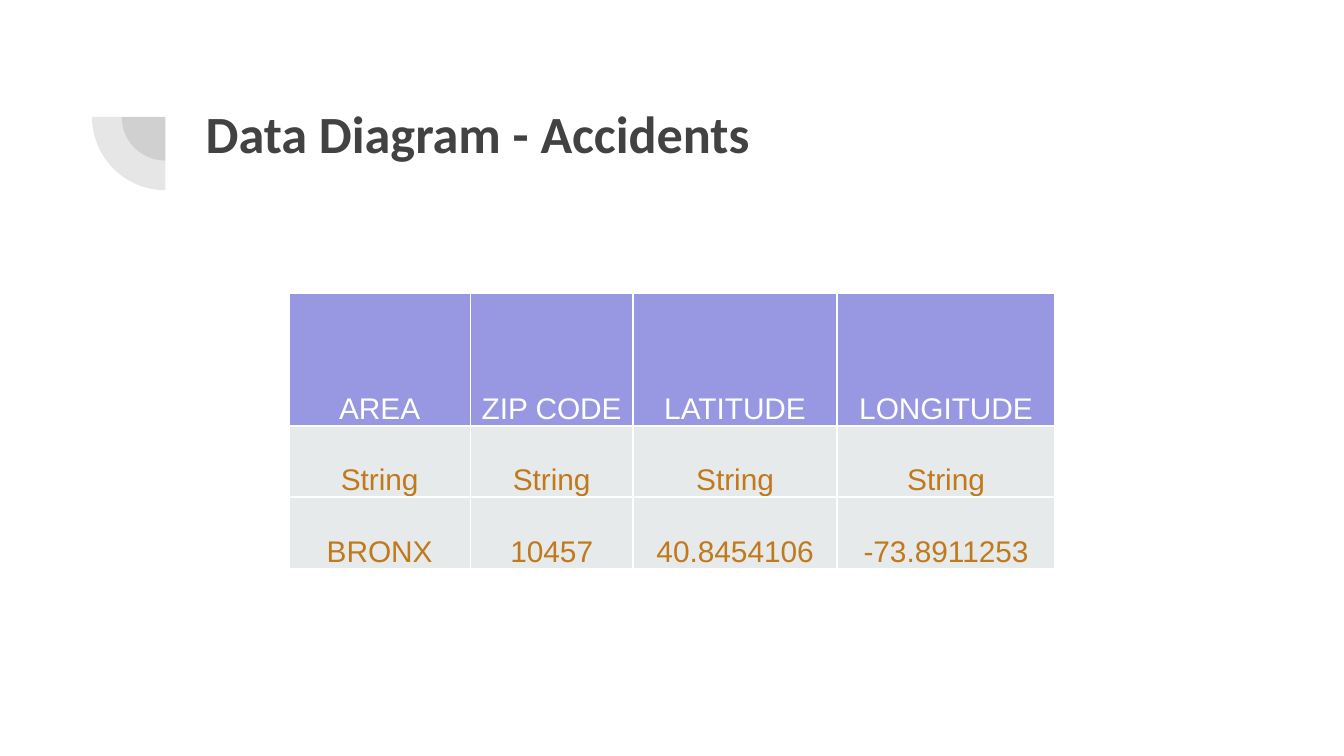
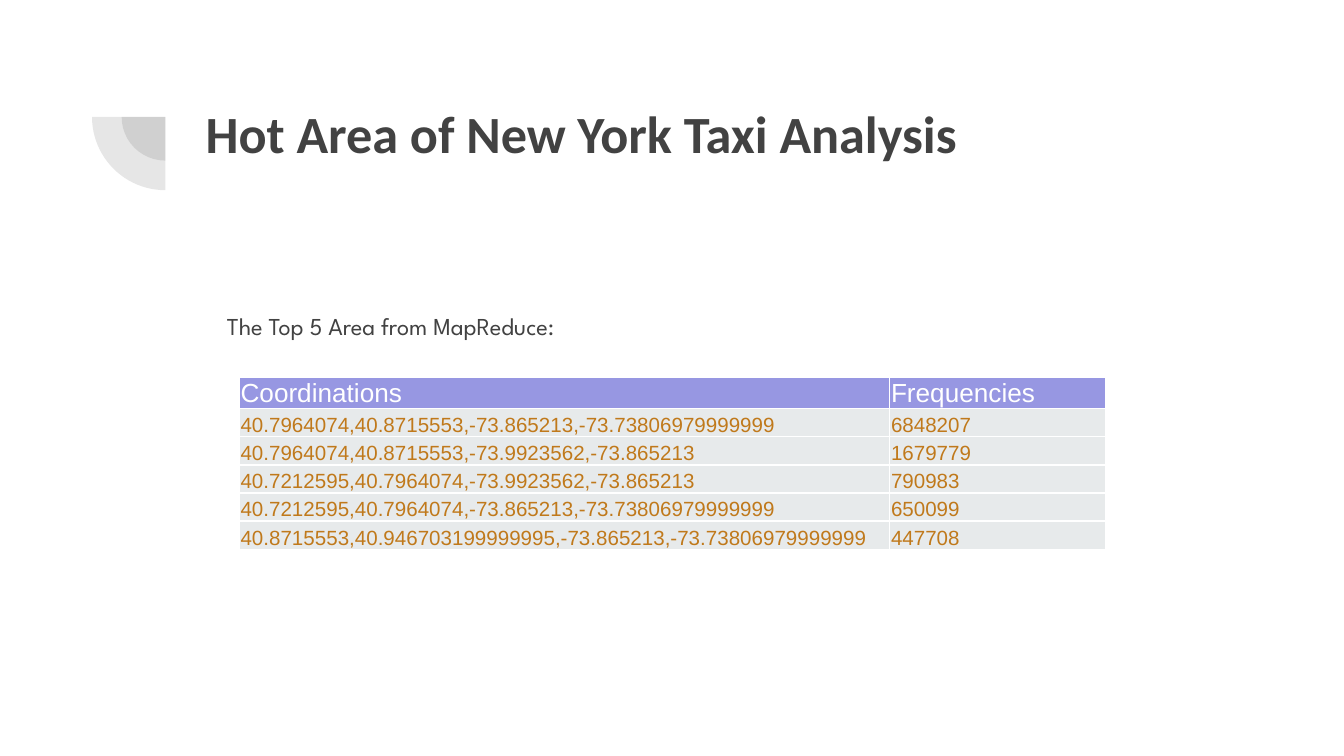
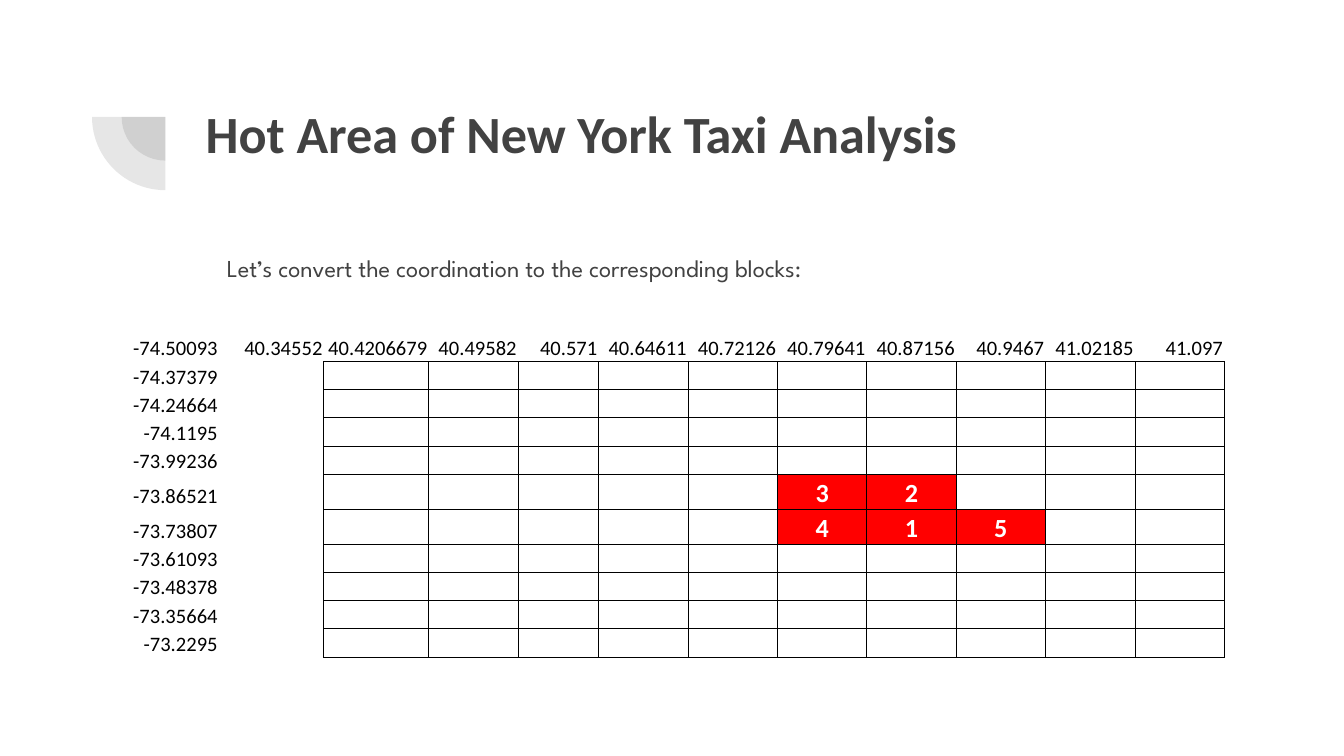
"""Build three slides on accident data and busy taxi areas in New York."""
from lxml import etree
from pptx import Presentation
from pptx.dml.color import RGBColor
from pptx.enum.shapes import MSO_SHAPE
from pptx.enum.text import MSO_ANCHOR, MSO_AUTO_SIZE, PP_ALIGN
from pptx.oxml.ns import qn
from pptx.util import Inches, Pt

PIE = MSO_SHAPE.PIE
LEFT, CENTER, RIGHT = PP_ALIGN.LEFT, PP_ALIGN.CENTER, PP_ALIGN.RIGHT
TOP, BOTTOM = MSO_ANCHOR.TOP, MSO_ANCHOR.BOTTOM
NO_AUTOFIT = MSO_AUTO_SIZE.NONE
TITLE_ONLY = 5

SLIDE_WIDTH = Inches(10)
SLIDE_HEIGHT = SLIDE_WIDTH * 9 // 16

DARK = RGBColor(0x42, 0x42, 0x42)
WHITE = RGBColor(0xFF, 0xFF, 0xFF)
BLACK = RGBColor(0, 0, 0)
LILAC = RGBColor(0x97, 0x97, 0xE2)
PALE = RGBColor(0xE7, 0xEA, 0xEB)
OCHRE = RGBColor(0xC0, 0x79, 0x1B)
RED = RGBColor(0xFF, 0, 0)

TITLE_FONT = "Calibri"
BODY_FONT = "League Spartan"
TABLE_FONT = "Arial"
TEXT_LEFT, TEXT_WIDTH = 1.43, 7.69
PIE_OPACITY = 13

HOT_AREA_TITLE = "Hot Area of New York Taxi Analysis"
ACCIDENTS = [
    ["AREA", "ZIP CODE", "LATITUDE", "LONGITUDE"],
    ["String"] * 4,
    ["BRONX", "10457", "40.8454106", "-73.8911253"],
]
TOP_AREAS = [
    ["Coordinations", "Frequencies"],
    ["40.7964074,40.8715553,-73.865213,-73.73806979999999", "6848207"],
    ["40.7964074,40.8715553,-73.9923562,-73.865213", "1679779"],
    ["40.7212595,40.7964074,-73.9923562,-73.865213", "790983"],
    ["40.7212595,40.7964074,-73.865213,-73.73806979999999", "650099"],
    ["40.8715553,40.946703199999995,-73.865213,-73.73806979999999", "447708"],
]
LATITUDES = ["40.34552", "40.4206679", "40.49582", "40.571", "40.64611", "40.72126",
             "40.79641", "40.87156", "40.9467", "41.02185", "41.097"]
LONGITUDES = ["-74.50093", "-74.37379", "-74.24664", "-74.1195", "-73.99236", "-73.86521",
              "-73.73807", "-73.61093", "-73.48378", "-73.35664", "-73.2295"]
HOT_BLOCKS = {(5, 7): "3", (5, 8): "2", (6, 7): "4", (6, 8): "1", (6, 9): "5"}


def write_text(frame, text, *, size, font, color, bold=False, align=LEFT, spacing=None, indent=0):
    """Write one formatted paragraph into a text frame."""
    paragraph = frame.paragraphs[0]
    paragraph.alignment = align
    if spacing:
        paragraph.line_spacing = spacing
    if indent:
        properties = paragraph._p.get_or_add_pPr()
        properties.set("marL", str(Inches(indent)))
        properties.set("indent", "0")
    if not text:
        end = etree.SubElement(paragraph._p, qn("a:endParaRPr"))
        end.set("sz", str(size * 100))
        return
    run = paragraph.add_run()
    run.text = text
    run.font.size = Pt(size)
    run.font.name = font
    run.font.bold = bold
    run.font.color.rgb = color


def prepare_frame(frame):
    """Give a text frame the shared margins, wrapping and anchor."""
    frame.word_wrap = True
    frame.auto_size = NO_AUTOFIT
    frame.vertical_anchor = TOP
    frame.margin_left = frame.margin_right = Inches(0.1)
    frame.margin_top = frame.margin_bottom = Inches(0.1)


def add_pie_ornament(slide):
    """Add the two translucent quarter circles beside the title."""
    group = slide.shapes.add_group_shape()
    center_x, center_y = 1.23, 0.87
    for diameter in (0.65, 1.09):
        shape = group.shapes.add_shape(
            PIE, Inches(center_x - diameter / 2), Inches(center_y - diameter / 2),
            Inches(diameter), Inches(diameter))
        shape.adjustments[0], shape.adjustments[1] = 108, 162
        shape.rotation = 270
        shape.shadow.inherit = False
        shape.line.fill.background()
        shape.fill.solid()
        shape.fill.fore_color.rgb = DARK
        color = shape._element.spPr.find(qn("a:solidFill"))[0]
        etree.SubElement(color, qn("a:alpha")).set("val", str(PIE_OPACITY * 1000))


def add_titled_slide(presentation, text):
    """Add a slide with the ornament and a formatted title."""
    slide = presentation.slides.add_slide(presentation.slide_layouts[TITLE_ONLY])
    add_pie_ornament(slide)
    title = slide.shapes.title
    title.left, title.top = Inches(TEXT_LEFT), Inches(0.65)
    title.width, title.height = Inches(TEXT_WIDTH), Inches(1.09)
    prepare_frame(title.text_frame)
    write_text(title.text_frame, text, size=28, font=TITLE_FONT, color=DARK, bold=True)
    return slide


def add_body(slide, text, top, height):
    """Add the introductory sentence above a table."""
    box = slide.shapes.add_textbox(
        Inches(TEXT_LEFT), Inches(top), Inches(TEXT_WIDTH), Inches(height))
    prepare_frame(box.text_frame)
    write_text(box.text_frame, text, size=13, font=BODY_FONT, color=DARK,
               spacing=1.15, indent=0.16)


def add_table(slide, left, top, widths, heights):
    """Add an unbanded table with the given column widths and row heights."""
    table = slide.shapes.add_table(
        len(heights), len(widths), Inches(left), Inches(top),
        Inches(sum(widths)), Inches(sum(heights))).table
    table.first_row = table.horz_banding = False
    for column, width in zip(table.columns, widths):
        column.width = Inches(width)
    for row, height in zip(table.rows, heights):
        row.height = Inches(height)
    return table


def set_borders(cell, sides, color, width):
    """Draw the named sides of a cell and clear the others."""
    properties = cell._tc.get_or_add_tcPr()
    for side in "LRTB":
        line = etree.SubElement(properties, qn(f"a:ln{side}"))
        if side in sides:
            line.set("w", str(Pt(width)))
            fill = etree.SubElement(line, qn("a:solidFill"))
            etree.SubElement(fill, qn("a:srgbClr")).set("val", str(color))
        else:
            etree.SubElement(line, qn("a:noFill"))


def fill_cell(cell, text, *, fill=None, sides="LRTB", border=WHITE, border_width=1, **text_format):
    """Set the borders, fill, margins and text of a cell."""
    set_borders(cell, sides, border, border_width)
    if fill is None:
        cell.fill.background()
    else:
        cell.fill.solid()
        cell.fill.fore_color.rgb = fill
    cell.vertical_anchor = BOTTOM
    cell.margin_left = cell.margin_right = cell.margin_top = Inches(0.01)
    cell.margin_bottom = 0
    write_text(cell.text_frame, text, **text_format)


def fill_data_table(table, rows, header_size, body_size, align):
    """Fill a table that has a lilac header and pale data rows."""
    for row_index, row in enumerate(rows):
        header = row_index == 0
        for column_index, text in enumerate(row):
            fill_cell(table.cell(row_index, column_index), text,
                      fill=LILAC if header else PALE, color=WHITE if header else OCHRE,
                      size=header_size if header else body_size, font=TABLE_FONT, align=align)


def block_sides(row, column):
    """Return the sides to draw for a cell of the block map."""
    if row and column > 1:
        return "LRTB"
    if row:
        return "R" if column == 1 else ""
    return "B" if column > 1 else ""


def fill_block_map(table):
    """Fill the coordinate map and mark its ranked hot blocks."""
    labels = {(0, column): text for column, text in enumerate(LATITUDES, 1)}
    labels.update({(row, 0): text for row, text in enumerate(LONGITUDES)})
    for row in range(len(LONGITUDES)):
        for column in range(len(LATITUDES) + 1):
            place = row, column
            hot = place in HOT_BLOCKS
            fill_cell(table.cell(row, column), HOT_BLOCKS.get(place, labels.get(place, "")),
                      fill=RED if hot else None, sides=block_sides(row, column),
                      border=BLACK, border_width=0.5, font=TITLE_FONT, bold=hot,
                      size=14 if hot else 11, color=WHITE if hot else BLACK,
                      align=CENTER if hot else RIGHT)


def main():
    """Build and save the presentation."""
    presentation = Presentation()
    presentation.slide_width, presentation.slide_height = SLIDE_WIDTH, SLIDE_HEIGHT

    slide = add_titled_slide(presentation, "Data Diagram - Accidents")
    table = add_table(slide, 2.15, 2.18, [1.35, 1.21, 1.52, 1.62], [0.99, 0.53, 0.53])
    fill_data_table(table, ACCIDENTS, 16, 16, CENTER)

    slide = add_titled_slide(presentation, HOT_AREA_TITLE)
    add_body(slide, "The Top 5 Area from MapReduce:", 2.18, 2.78)
    table = add_table(slide, 1.78, 2.81, [4.84, 1.61], [0.21] * len(TOP_AREAS))
    fill_data_table(table, TOP_AREAS, 14, 11, LEFT)

    slide = add_titled_slide(presentation, HOT_AREA_TITLE)
    add_body(slide, "Let’s convert the coordination to the corresponding blocks:", 1.75, 0.43)
    regular_width = (8.22 - 0.74 - 2 * 0.78 - 0.6) / 8
    widths = [0.74, 0.78, 0.78, regular_width, 0.6] + [regular_width] * 7
    hot_rows = {row for row, column in HOT_BLOCKS}
    heights = [0.26 if row in hot_rows else 0.21 for row in range(len(LONGITUDES))]
    fill_block_map(add_table(slide, 0.89, 2.48, widths, heights))

    presentation.save("out.pptx")


if __name__ == "__main__":
    main()
